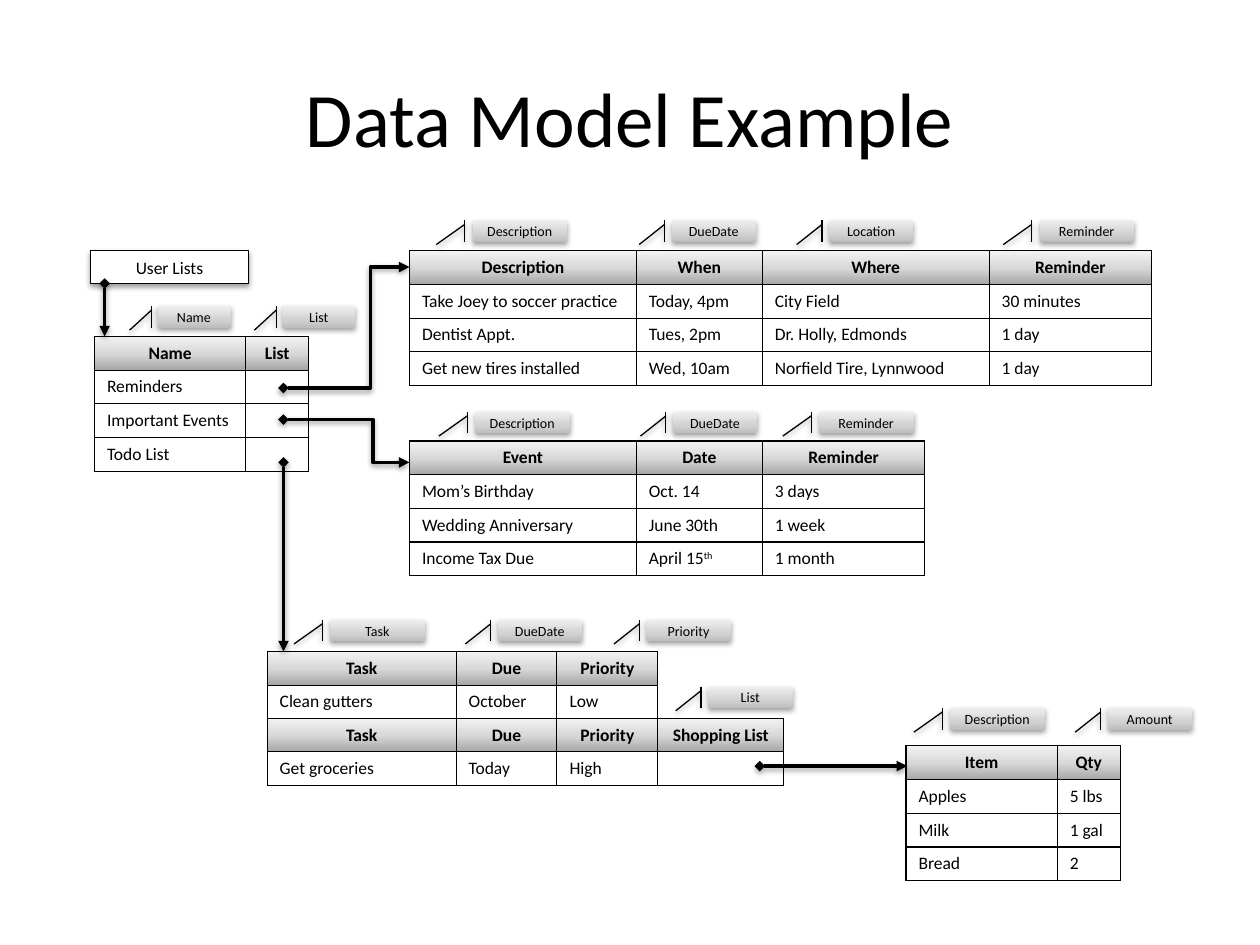
from dataclasses import dataclass

from lxml import etree
from pptx import Presentation
from pptx.dml.color import RGBColor
from pptx.enum.shapes import MSO_CONNECTOR, MSO_SHAPE
from pptx.enum.text import MSO_ANCHOR, PP_ALIGN
from pptx.oxml import parse_xml
from pptx.oxml.ns import nsdecls, qn
from pptx.util import Inches, Pt

CENTER, LEFT = PP_ALIGN.CENTER, PP_ALIGN.LEFT
MIDDLE = MSO_ANCHOR.MIDDLE
RECTANGLE, CALLOUT = MSO_SHAPE.RECTANGLE, MSO_SHAPE.LINE_CALLOUT_1_ACCENT_BAR
STRAIGHT, ELBOW = MSO_CONNECTOR.STRAIGHT, MSO_CONNECTOR.ELBOW

# The slide is a grid of 10 columns by 7.5 rows; all lengths are in grid units.
COLUMNS, ROWS = 10, 7.5
ROW_HEIGHT, TAG_HEIGHT = 0.25, 0.17


@dataclass(frozen=True)
class Theme:
    """Colours, type sizes and line widths of the slide."""
    font: str = "Calibri"
    ink: str = "000000"
    paper: str = "FFFFFF"
    header_stops: tuple = ((0, "A6A6A6"), (50, "D9D9D9"), (100, "F2F2F2"))
    tag_stops: tuple = ((0, "BDBDBD"), (35, "D1D1D1"), (100, "EEEEEE"))
    title_size: int = 44
    body_size: int = 10
    tag_size: int = 8
    thin: float = 0.75
    thick: float = 2


THEME = Theme()
INK = RGBColor.from_string(THEME.ink)


def grid(*lengths):
    """Turn grid units into slide lengths."""
    return [Inches(length) for length in lengths]


def add_text(frame, text, size, bold=False, align=CENTER):
    """Write text run by run; the second part of a tuple is superscript."""
    paragraph = frame.paragraphs[0]
    paragraph.alignment = align
    for index, part in enumerate((text,) if isinstance(text, str) else text):
        if not part:
            end = etree.SubElement(paragraph._p, qn("a:endParaRPr"))
            end.set("sz", str(size * 100))
            continue
        run = paragraph.add_run()
        run.text = part
        run.font.name, run.font.size, run.font.bold = THEME.font, Pt(size), bold
        run.font.color.rgb = INK
        if index:
            run._r.get_or_add_rPr().set("baseline", "30000")


def add_gradient(fill, element, stops):
    """Fill upwards with the given (percent, colour) stops."""
    fill.gradient()
    fill.gradient_angle = 90
    stop_list = element.find(".//" + qn("a:gsLst"))
    for old_stop in list(stop_list):
        stop_list.remove(old_stop)
    for percent, colour in stops:
        stop = etree.SubElement(stop_list, qn("a:gs"), pos=str(percent * 1000))
        etree.SubElement(stop, qn("a:srgbClr"), val=colour)


def add_shadow(shape):
    """Give a shape or connector the soft shadow below it."""
    shape._element.spPr.append(parse_xml(
        f'<a:effectLst {nsdecls("a")}><a:outerShdw blurRad="40000" dist="20000" '
        f'dir="5400000" rotWithShape="0"><a:srgbClr val="{THEME.ink}">'
        '<a:alpha val="38000"/></a:srgbClr></a:outerShdw></a:effectLst>'))


def add_borders(cell):
    """Draw thin lines on all four sides of a cell."""
    properties = cell._tc.get_or_add_tcPr()
    for index, side in enumerate("LRTB"):
        properties.insert(index, parse_xml(
            f'<a:ln{side} {nsdecls("a")} w="{Pt(THEME.thin)}"><a:solidFill>'
            f'<a:srgbClr val="{THEME.ink}"/></a:solidFill></a:ln{side}>'))


def add_box(slide, kind, box, text, size, stops=None):
    """Add a shadowed shape with centred text."""
    shape = slide.shapes.add_shape(kind, *grid(*box))
    if stops:
        add_gradient(shape.fill, shape._element, stops)
    else:
        shape.fill.solid()
        shape.fill.fore_color.rgb = RGBColor.from_string(THEME.paper)
    shape.line.color.rgb, shape.line.width = INK, Pt(THEME.thin)
    add_shadow(shape)
    shape.text_frame.vertical_anchor = MIDDLE
    add_text(shape.text_frame, text, size)


def add_list(slide, left, top, widths, rows, tags, tag_rise=0.24):
    """Add a table and its field tags, given as (offset, width, text)."""
    box = grid(left, top, sum(widths), ROW_HEIGHT * len(rows))
    table = slide.shapes.add_table(len(rows), len(widths), *box).table
    table.first_row = table.horz_banding = False
    for column, width in zip(table.columns, widths):
        column.width = Inches(width)
    for row_index, texts in enumerate(rows):
        table.rows[row_index].height = Inches(ROW_HEIGHT)
        header = row_index == 0
        for column_index, text in enumerate(texts):
            cell = table.cell(row_index, column_index)
            if header:
                add_gradient(cell.fill, cell._tc, THEME.header_stops)
            else:
                cell.fill.background()
            add_borders(cell)
            add_text(cell.text_frame, text, THEME.body_size, header,
                     CENTER if header else LEFT)
    for offset, width, text in tags:
        add_box(slide, CALLOUT, (left + offset, top - tag_rise, width, TAG_HEIGHT),
                text, THEME.tag_size, THEME.tag_stops)


def add_pointer(slide, start, end, bend=None):
    """Add an arrow from a diamond; bend is the share of its width at the turn."""
    connector = slide.shapes.add_connector(
        STRAIGHT if bend is None else ELBOW, *grid(*start, *end))
    connector.line.color.rgb, connector.line.width = INK, Pt(THEME.thick)
    line = connector.line._get_or_add_ln()
    etree.SubElement(line, qn("a:headEnd"), type="diamond")
    etree.SubElement(line, qn("a:tailEnd"), type="triangle")
    if bend is not None:
        guides = connector._element.spPr.find(".//" + qn("a:avLst"))
        etree.SubElement(guides, qn("a:gd"), name="adj1",
                         fmla=f"val {round(bend * 100000)}")
    add_shadow(connector)


def add_title(slide, box, text):
    """Add the centred slide title."""
    frame = slide.shapes.add_textbox(*grid(*box)).text_frame
    frame.word_wrap = True
    frame.vertical_anchor = MIDDLE
    add_text(frame, text, THEME.title_size)


def build_slide(slide):
    """Place the title, the linked lists and their pointers."""
    add_title(slide, (0.5, 0.3, COLUMNS - 1, 1.25), "Data Model Example")
    add_box(slide, RECTANGLE, (0.72, 1.99, 1.25, 0.26), "User Lists", THEME.body_size)
    add_list(slide, 0.75, 2.67, (1.2, 0.5),
             (("Name", "List"), ("Reminders", ""), ("Important Events", ""),
              ("Todo List", "")),
             ((0.5, 0.58, "Name"), (1.49, 0.58, "List")))
    add_list(slide, 3.25, 1.99, (1.8, 1, 1.8, 1.29),
             (("Description", "When", "Where", "Reminder"),
              ("Take Joey to soccer practice", "Today, 4pm", "City Field", "30 minutes"),
              ("Dentist Appt.", "Tues, 2pm", "Dr. Holly, Edmonds", "1 day"),
              ("Get new tires installed", "Wed, 10am", "Norfield Tire, Lynnwood",
               "1 day")),
             ((0.5, 0.75, "Description"), (2.08, 0.67, "DueDate"),
              (3.33, 0.67, "Location"), (5, 0.75, "Reminder")))
    add_list(slide, 3.25, 3.5, (1.8, 1, 1.29),
             (("Event", "Date", "Reminder"), ("Mom’s Birthday", "Oct. 14", "3 days"),
              ("Wedding Anniversary", "June 30th", "1 week"),
              ("Income Tax Due", ("April 15", "th"), "1 month")),
             ((0.52, 0.75, "Description"), (2.09, 0.67, "DueDate"),
              (3.25, 0.75, "Reminder")), 0.23)
    add_list(slide, 2.12, 5.7, (1.5, 0.8, 0.8, 1),
             (("Task", "Due", "Priority", "Shopping List"),
              ("Get groceries", "Today", "High", "")),
             ((3.5, 0.67, "List"),), 0.25)
    add_list(slide, 2.12, 5.17, (1.5, 0.8, 0.8),
             (("Task", "Due", "Priority"), ("Clean gutters", "October", "Low")),
             ((0.5, 0.75, "Task"), (1.83, 0.67, "DueDate"), (3.01, 0.67, "Priority")),
             0.25)
    add_list(slide, 7.19, 5.92, (1.2, 0.5),
             (("Item", "Qty"), ("Apples", "5 lbs"), ("Milk", "1 gal"), ("Bread", "2")),
             ((0.35, 0.75, "Description"), (1.6, 0.67, "Amount")), 0.3)
    for pointer in (((0.83, 2.25), (0.83, 2.67)),
                    ((2.25, 3.08), (3.25, 2.12), 0.69),
                    ((2.25, 3.33), (3.25, 3.67), 0.71),
                    ((2.25, 3.67), (2.25, 5.17)),
                    ((6.03, 6.08), (7.2, 6.08))):
        add_pointer(slide, *pointer)


presentation = Presentation()
presentation.slide_width, presentation.slide_height = grid(COLUMNS, ROWS)
build_slide(presentation.slides.add_slide(presentation.slide_layouts[6]))
presentation.save("out.pptx")
